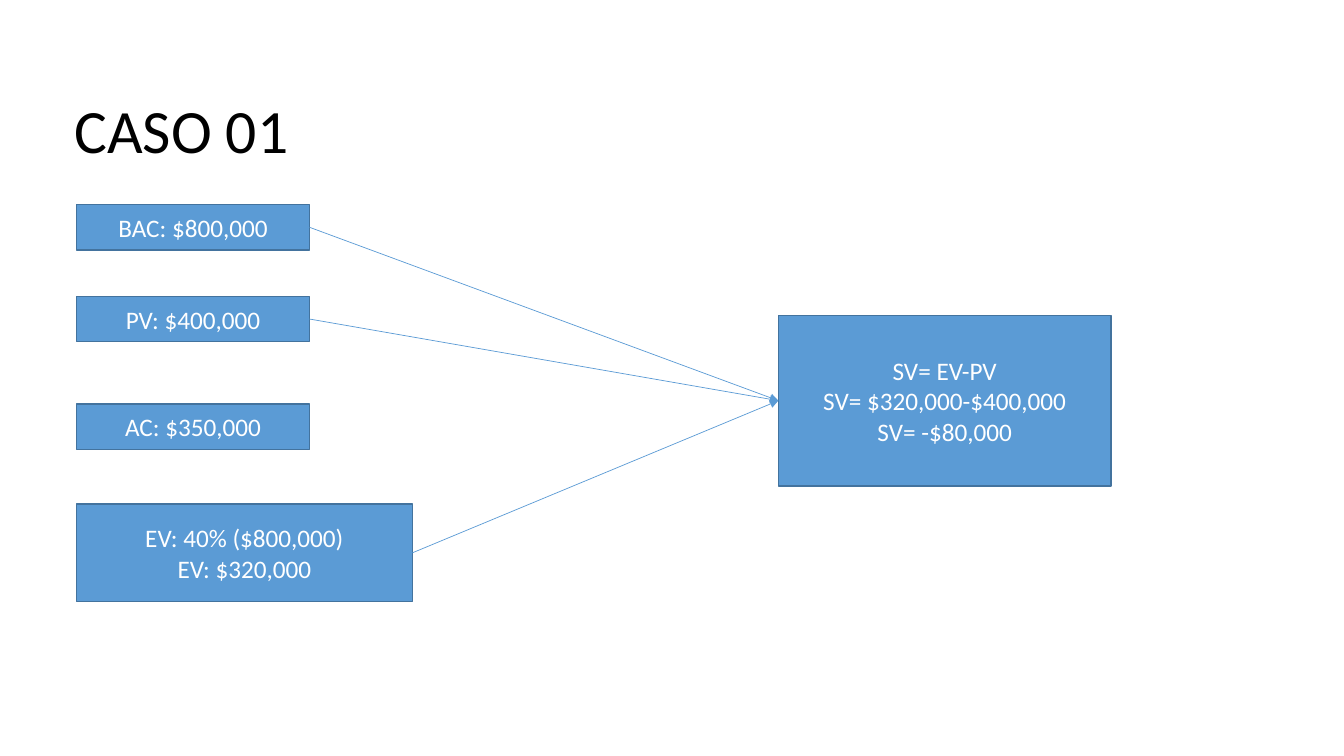
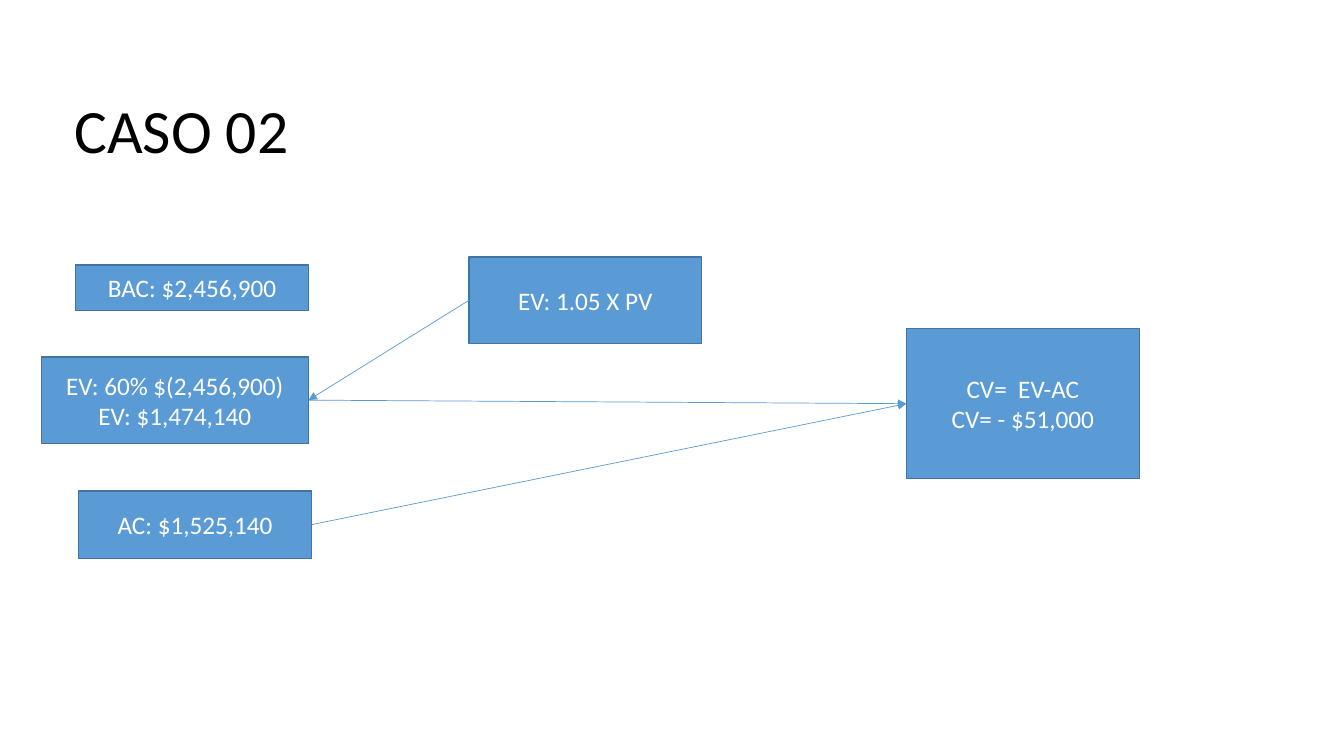
from dataclasses import dataclass

import lxml.etree
import pptx
import pptx.dml.color
import pptx.enum.shapes
import pptx.enum.text
import pptx.oxml.ns
import pptx.presentation
import pptx.shapes.autoshape
import pptx.slide
import pptx.text.text
import pptx.util

Inches = pptx.util.Inches
Pt = pptx.util.Pt

COLORS = {"title": "000000", "fill": "5B9BD5", "border": "43739E", "label": "FFFFFF"}
FONT = "Calibri"
BOX_WIDTH = 2.31
ROW_HEIGHT = 0.45
LEFT_SITE, RIGHT_SITE = 1, 3


@dataclass(frozen=True)
class Box:
    lines: tuple[str, ...]
    left: float
    top: float
    width: float = BOX_WIDTH
    height: float = ROW_HEIGHT


@dataclass(frozen=True)
class Arrow:
    source: str
    target: str
    source_site: int = RIGHT_SITE
    target_site: int = LEFT_SITE


@dataclass(frozen=True)
class Case:
    title: str
    boxes: dict[str, Box]
    arrows: tuple[Arrow, ...]


CASES = (
    Case(
        "CASO 01",
        {
            "bac": Box(("BAC: $800,000",), 0.76, 2.03),
            "pv": Box(("PV: $400,000",), 0.76, 2.94),
            "ac": Box(("AC: $350,000",), 0.76, 4.01),
            "ev": Box(("EV: 40% ($800,000)", "EV: $320,000"), 0.76, 5, 3.33, 0.97),
            "sv": Box(
                ("SV= EV-PV", "SV= $320,000-$400,000", "SV= -$80,000"),
                7.72, 3.13, 3.3, 1.69,
            ),
        },
        (Arrow("bac", "sv"), Arrow("pv", "sv"), Arrow("ev", "sv")),
    ),
    Case(
        "CASO 02",
        {
            "bac": Box(("BAC: $2,456,900",), 0.75, 2.63),
            "ev": Box(("EV: 60% $(2,456,900)", "EV: $1,474,140"), 0.41, 3.54, 2.65, 0.86),
            "ac": Box(("AC: $1,525,140",), 0.78, 4.87, height=0.67),
            "ratio": Box(("EV: 1.05 X PV",), 4.65, 2.55, height=0.86),
            "cv": Box(("CV=  EV-AC", "CV= - $51,000"), 8.99, 3.26, height=1.49),
        },
        (
            Arrow("ratio", "ev", LEFT_SITE, RIGHT_SITE),
            Arrow("ev", "cv"),
            Arrow("ac", "cv"),
        ),
    ),
)


def color(name: str) -> pptx.dml.color.RGBColor:
    return pptx.dml.color.RGBColor.from_string(COLORS[name])


def add_span(para: pptx.text.text._Paragraph, text: str, size: float, ink: str) -> None:
    span = para.add_run()
    span.text = text
    span.font.name = FONT
    span.font.size = Pt(size)
    span.font.color.rgb = color(ink)


def add_title(page: pptx.slide.Slide, text: str) -> None:
    box = page.shapes.add_textbox(Inches(0.64), Inches(0.77), Inches(12.06), Inches(1.11))
    frame = box.text_frame
    frame.word_wrap = True
    frame.vertical_anchor = pptx.enum.text.MSO_ANCHOR.MIDDLE
    para = frame.paragraphs[0]
    para.line_spacing = 0.9
    add_span(para, text, 44, "title")


def add_box(page: pptx.slide.Slide, box: Box) -> pptx.shapes.autoshape.Shape:
    shape = page.shapes.add_shape(
        pptx.enum.shapes.MSO_SHAPE.RECTANGLE,
        Inches(box.left), Inches(box.top), Inches(box.width), Inches(box.height),
    )
    shape.shadow.inherit = False
    shape.fill.solid()
    shape.fill.fore_color.rgb = color("fill")
    shape.line.color.rgb = color("border")
    shape.line.width = Pt(1)
    frame = shape.text_frame
    frame.word_wrap = True
    frame.vertical_anchor = pptx.enum.text.MSO_ANCHOR.MIDDLE
    for index, line in enumerate(box.lines):
        para = frame.add_paragraph() if index else frame.paragraphs[0]
        para.alignment = pptx.enum.text.PP_ALIGN.CENTER
        add_span(para, line, 18, "label")
    return shape


def add_arrow(
    page: pptx.slide.Slide,
    arrow: Arrow,
    shapes: dict[str, pptx.shapes.autoshape.Shape],
) -> None:
    connector = page.shapes.add_connector(
        pptx.enum.shapes.MSO_CONNECTOR.STRAIGHT, Inches(0), Inches(0), Inches(1), Inches(1)
    )
    connector.begin_connect(shapes[arrow.source], arrow.source_site)
    connector.end_connect(shapes[arrow.target], arrow.target_site)
    connector.line.color.rgb = color("fill")
    connector.line.width = Pt(0.5)
    qn = pptx.oxml.ns.qn
    properties = connector._element.spPr
    outline = properties.find(qn("a:ln"))
    lxml.etree.SubElement(outline, qn("a:tailEnd"), type="triangle")
    lxml.etree.SubElement(properties, qn("a:effectLst"))


def add_case(deck: pptx.presentation.Presentation, case: Case) -> None:
    page = deck.slides.add_slide(deck.slide_layouts[6])
    add_title(page, case.title)
    shapes = {name: add_box(page, box) for name, box in case.boxes.items()}
    for arrow in case.arrows:
        add_arrow(page, arrow, shapes)


def main() -> None:
    deck = pptx.Presentation()
    deck.slide_width = Inches(13.33)
    deck.slide_height = Inches(7.5)
    for case in CASES:
        add_case(deck, case)
    deck.save("out.pptx")


if __name__ == "__main__":
    main()
